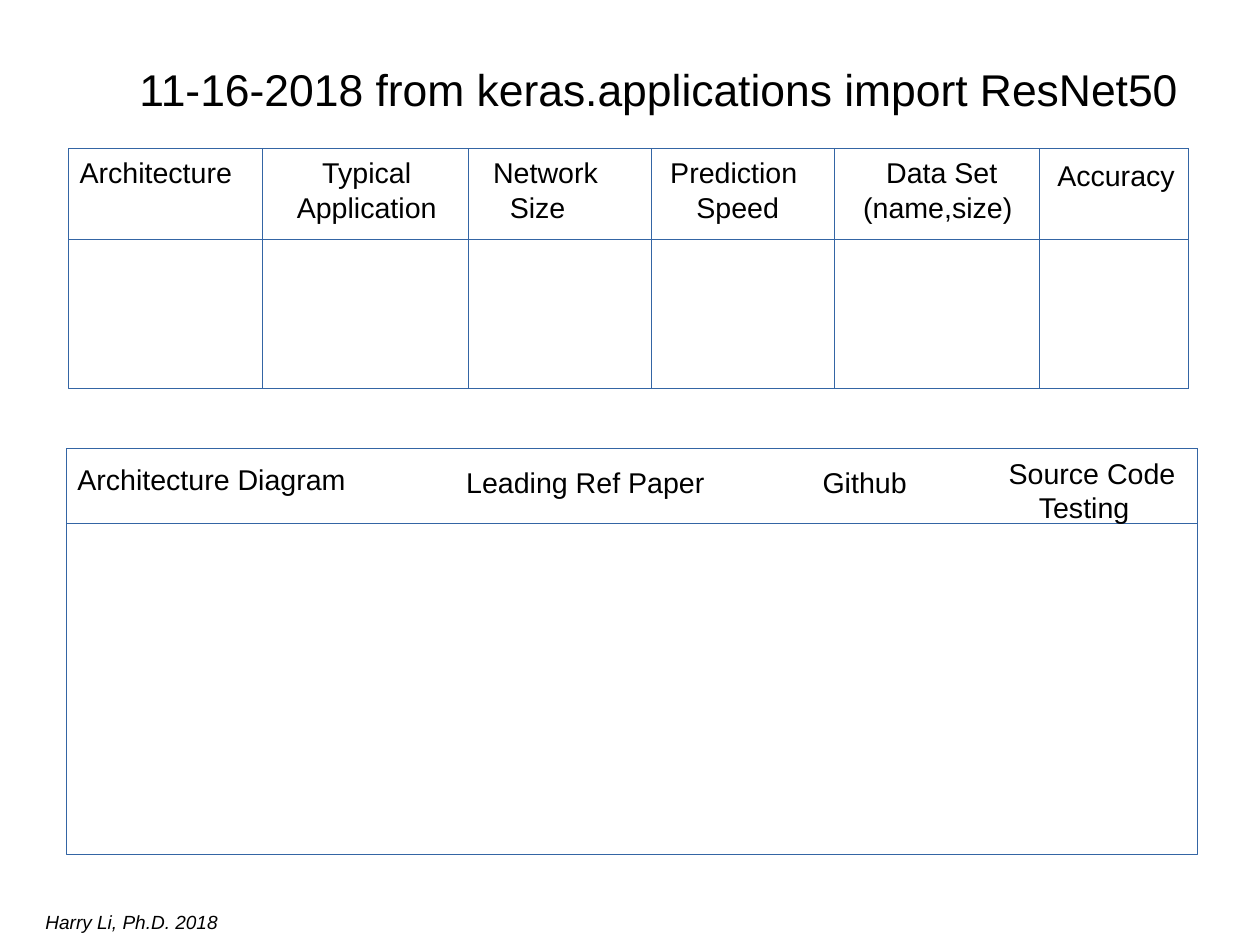
"""Slide with two outlined grids for notes on the ResNet50 architecture."""
from pptx import Presentation
from pptx.dml.color import RGBColor
from pptx.enum.shapes import MSO_SHAPE
from pptx.enum.text import MSO_ANCHOR, PP_ALIGN
from pptx.util import Cm, Pt

BLACK = RGBColor(0, 0, 0)
BLUE = RGBColor(0x34, 0x65, 0xA4)
LEFT, CENTER = PP_ALIGN.LEFT, PP_ALIGN.CENTER


def format_text(p, text, size, align, italic=False):
    p.text = text
    p.alignment = align
    p.font.name = "Arial"
    p.font.size = Pt(size)
    p.font.italic = italic
    p.font.color.rgb = BLACK


prs = Presentation()
prs.slide_width, prs.slide_height = Cm(28), Cm(21)
s = prs.slides.add_slide(prs.slide_layouts[5])

title = s.shapes.title
title.left, title.top, title.width, title.height = Cm(2.03), Cm(0.25), Cm(25.2), Cm(3.51)
tf = title.text_frame
tf.margin_left = tf.margin_right = tf.margin_bottom = 0
tf.margin_top = Cm(0.05)
tf.vertical_anchor = MSO_ANCHOR.MIDDLE
format_text(tf.paragraphs[0], "11-16-2018 from keras.applications import ResNet50", 28, CENTER)
tf.paragraphs[0].line_spacing = 0.94

# Each grid: left edges of its nested boxes, right edge, top, header height, full height.
grids = [
    ((1.52, 5.84, 10.41, 14.48, 18.54, 23.11), 26.42, 3.3, 2.03, 5.33),
    ((1.47,), 26.62, 9.96, 1.68, 9.04),
]
for edges, right, top, header_height, height in grids:
    boxes = [(edges[0], header_height)] + [(edge, height) for edge in edges]
    for left, box_height in boxes:
        box = s.shapes.add_shape(
            MSO_SHAPE.RECTANGLE, Cm(left), Cm(top), Cm(right - left), Cm(box_height)
        )
        box.shadow.inherit = False
        box.fill.background()
        box.line.color.rgb = BLUE
        box.line.width = Pt(0.75)

labels = [
    ("Architecture", 1.52, 3.3, 6.1, 0.97, LEFT),
    ("Typical Application", 6.12, 3.3, 4.06, 1.68, CENTER),
    (" Network Size ", 10.03, 3.3, 4.01, 1.68, CENTER),
    ("Prediction \vSpeed", 14.2, 3.3, 4.39, 1.68, CENTER),
    (" Data Set (name,size)", 18.82, 3.3, 4.04, 1.68, CENTER),
    ("Accuracy ", 22.86, 3.35, 4.06, 0.97, CENTER),
    ("Architecture Diagram", 1.47, 10.11, 6.86, 0.97, LEFT),
    ("Leading Ref Paper", 10.11, 10.19, 6.86, 0.97, LEFT),
    ("Github", 18.03, 10.19, 2.74, 1.68, LEFT),
    (" Source Code Testing ", 21.74, 9.98, 4.88, 1.68, CENTER),
    ("Harry Li, Ph.D. 2018", 0.76, 20.09, 5.08, 0.74, LEFT),
]
for text, left, top, width, height, align in labels:
    label = s.shapes.add_textbox(Cm(left), Cm(top), Cm(width), Cm(height))
    tf = label.text_frame
    tf.word_wrap = True
    tf.margin_top = Cm(0.15)
    is_author = text.startswith("Harry")
    format_text(tf.paragraphs[0], text, 12 if is_author else 18, align, is_author)

prs.save("out.pptx")
